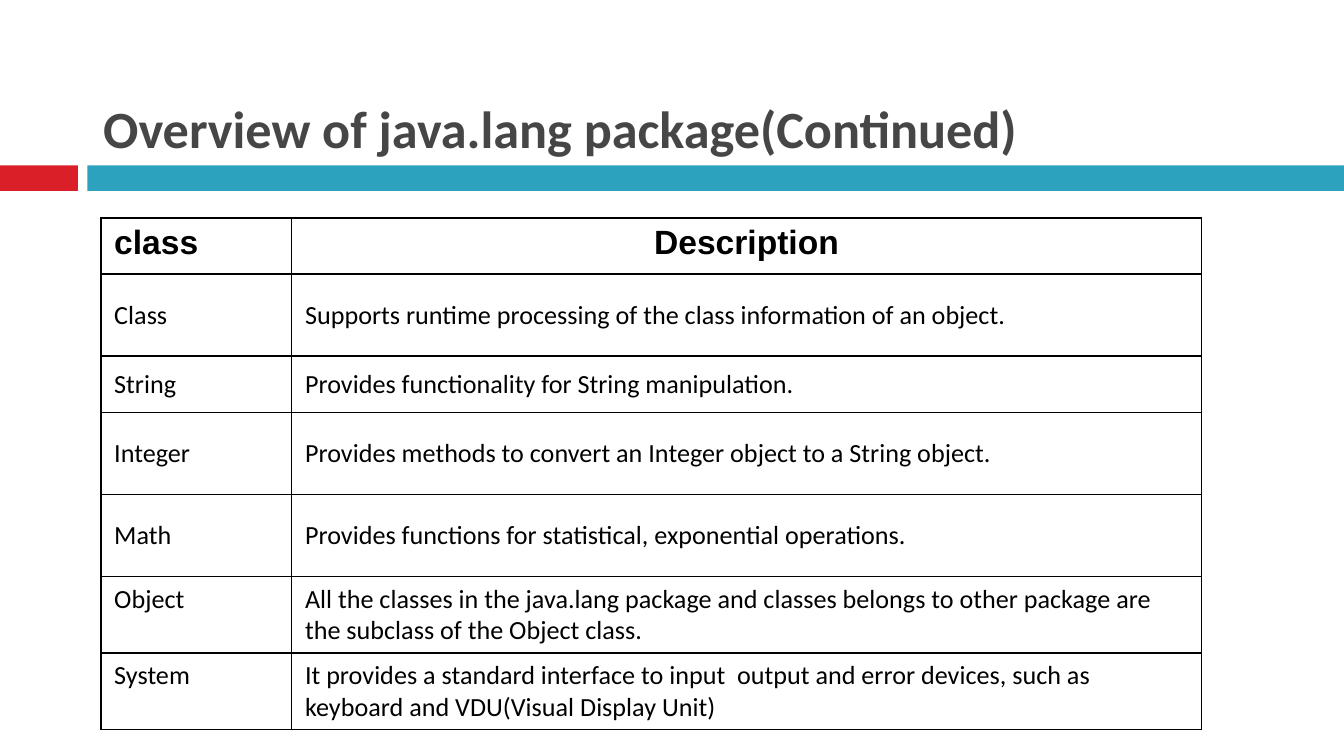
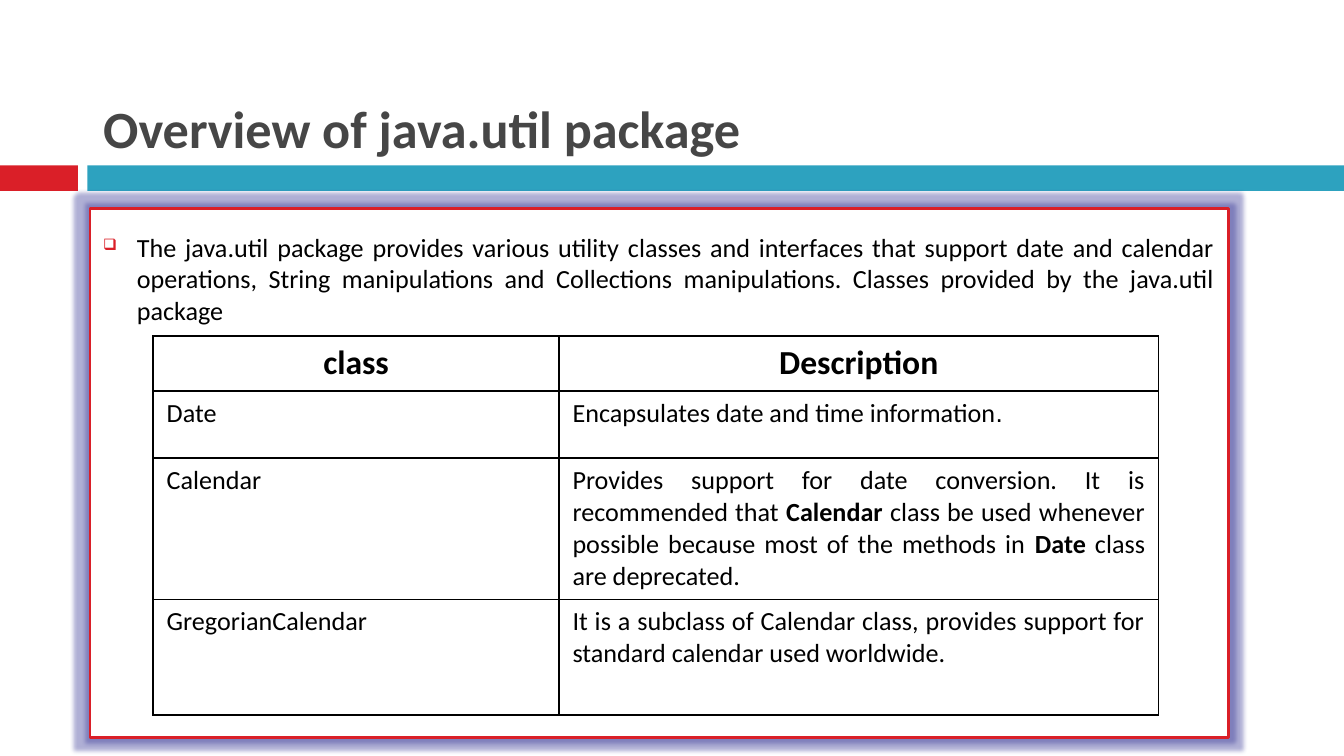
from lxml import etree
from pptx import Presentation
from pptx import util as u
from pptx.dml.color import RGBColor
from pptx.enum import shapes, text
from pptx.oxml import parse_xml
from pptx.oxml.ns import nsdecls, qn

RED, TEAL, GREY, BLACK, WHITE = "DA1F28", "2DA2BF", "464646", "000000", "FFFFFF"
LEFT, CENTER, JUSTIFY = text.PP_ALIGN.LEFT, text.PP_ALIGN.CENTER, text.PP_ALIGN.JUSTIFY
TOP, MIDDLE, BOTTOM = text.MSO_ANCHOR.TOP, text.MSO_ANCHOR.MIDDLE, text.MSO_ANCHOR.BOTTOM
HEADING = dict(size=18, bold=True)
SPACED = dict(before=5, after=2)


def color(value):
    return RGBColor.from_string(value)


def write(frame, content, size=14, font="Calibri", ink=BLACK, bold=False,
          align=LEFT, before=0, after=0):
    frame.word_wrap = True
    paragraph = frame.paragraphs[0]
    paragraph.alignment = align
    paragraph.space_before = u.Pt(before)
    paragraph.space_after = u.Pt(after)
    pieces = [(content, {})] if isinstance(content, str) else content
    for words, changes in pieces:
        run = paragraph.add_run()
        run.text = words
        run.font.size = u.Pt(size)
        run.font.name = changes.get("font", font)
        run.font.bold = changes.get("bold", bold)
        run.font.color.rgb = color(ink)
    return paragraph


class Deck:
    def __init__(self):
        self.presentation = Presentation()
        self.presentation.slide_width = u.Inches(10)
        self.presentation.slide_height = u.Inches(10 * 9 / 16)
        self.slide = None

    def start(self, heading):
        self.slide = self.presentation.slides.add_slide(self.presentation.slide_layouts[6])
        self.box(0, 1.23, 0.58, 0.19, RED)
        self.box(0.65, 1.23, 9.35, 0.19, TEAL)
        title = self.slide.shapes.add_textbox(*map(u.Inches, (0.67, 0.13, 9.33, 1.1)))
        title.text_frame.vertical_anchor = BOTTOM
        write(title.text_frame, heading, size=28, ink=GREY, bold=True)

    def box(self, left, top, width, height, fill, line=None):
        box = self.slide.shapes.add_shape(
            shapes.MSO_SHAPE.RECTANGLE, *map(u.Inches, (left, top, width, height)))
        box.shadow.inherit = False
        box.fill.solid()
        box.fill.fore_color.rgb = color(fill)
        if line:
            box.line.color.rgb = color(line)
            box.line.width = u.Pt(1.5)
        else:
            box.line.fill.background()
        return box

    def glowing_panel(self, left, top, width, height, content):
        panel = self.box(left, top, width, height, WHITE, RED)
        effects = panel._element.spPr.find(qn("a:effectLst"))
        effects.append(parse_xml(
            f'<a:glow {nsdecls("a")} rad="{u.Pt(5)}"><a:srgbClr val="373796">'
            '<a:alpha val="40000"/></a:srgbClr></a:glow>'))
        frame = panel.text_frame
        frame.vertical_anchor = TOP
        frame.margin_top = u.Inches(0.17)
        self.bullet(write(frame, content, align=JUSTIFY))

    def bullet(self, paragraph):
        properties = paragraph._p.get_or_add_pPr()
        properties.set("marL", str(u.Inches(0.25)))
        properties.set("indent", str(-u.Inches(0.25)))
        tint = etree.SubElement(properties, qn("a:buClr"))
        etree.SubElement(tint, qn("a:srgbClr"), val=RED)
        etree.SubElement(properties, qn("a:buSzPct"), val="60000")
        etree.SubElement(properties, qn("a:buChar"), char="❑")

    def table(self, left, top, widths, heights, rows):
        table = self.slide.shapes.add_table(
            len(rows), len(widths),
            *map(u.Inches, (left, top, sum(widths), sum(heights)))).table
        table.first_row = table.horz_banding = False
        for column, width in zip(table.columns, widths):
            column.width = u.Inches(width)
        for row, height in zip(table.rows, heights):
            row.height = u.Inches(height)
        for r, row in enumerate(rows):
            for c, (content, anchor, style) in enumerate(row):
                cell = table.cell(r, c)
                cell.vertical_anchor = anchor
                write(cell.text_frame, content, **style)
                self.border(cell)
                cell.fill.background()

    def border(self, cell):
        properties = cell._tc.get_or_add_tcPr()
        for side in ("lnL", "lnR", "lnT", "lnB"):
            properties.append(parse_xml(
                f'<a:{side} {nsdecls("a")} w="{u.Pt(1)}"><a:solidFill>'
                f'<a:srgbClr val="{BLACK}"/></a:solidFill></a:{side}>'))


def lang_slide(deck):
    deck.start("Overview of java.lang package(Continued)")
    spaced = [
        ("Class", "Supports runtime processing of the class information of an object."),
        ("String", "Provides functionality for String manipulation."),
        ("Integer", "Provides methods to convert an Integer object to a String object."),
        ("Math", "Provides functions for statistical, exponential operations."),
    ]
    plain = [
        ("Object", "All the classes in the java.lang package and classes belongs to "
                   "other package are the subclass of the Object class."),
        ("System", "It provides a standard interface to input  output and error devices, "
                   "such as keyboard and VDU(Visual Display Unit)"),
    ]
    heading = dict(HEADING, font="Arial")
    rows = [[("class", TOP, heading), ("Description", TOP, dict(heading, align=CENTER))]]
    rows += [[(words, MIDDLE, SPACED) for words in pair] for pair in spaced]
    rows += [[(words, TOP, {}) for words in pair] for pair in plain]
    deck.table(0.75, 1.62, (1.42, 6.77), (0.42, 0.61, 0.42, 0.61, 0.61, 0.57, 0.57), rows)


def util_slide(deck):
    deck.start("Overview of java.util package")
    deck.glowing_panel(
        0.67, 1.55, 8.47, 3.94,
        "The java.util package provides various utility classes and interfaces that support "
        "date and calendar operations, String manipulations and Collections manipulations. "
        "Classes provided by the java.util package")
    strong = dict(bold=True)
    classes = [
        ("Date", [("Encapsulates date and time information", {}),
                  (".", dict(font="Arial"))], LEFT),
        ("Calendar", [("Provides support for date conversion. It is recommended that ", {}),
                      ("Calendar ", strong),
                      ("class be used whenever possible because most of the methods in ", {}),
                      ("Date ", strong),
                      ("class are deprecated.", {})], JUSTIFY),
        ("GregorianCalendar", "It is a subclass of Calendar class, provides support for "
                              "standard calendar used worldwide.", JUSTIFY),
    ]
    heading = dict(HEADING, align=CENTER)
    rows = [[(words, TOP, heading) for words in ("class", "Description")]]
    rows += [[(name, TOP, {}), (description, TOP, dict(align=align))]
             for name, description, align in classes]
    deck.table(1.14, 2.5, (3.02, 4.46), (0.41, 0.5, 1.05, 0.86), rows)


def main():
    deck = Deck()
    lang_slide(deck)
    util_slide(deck)
    deck.presentation.save("out.pptx")


if __name__ == "__main__":
    main()
